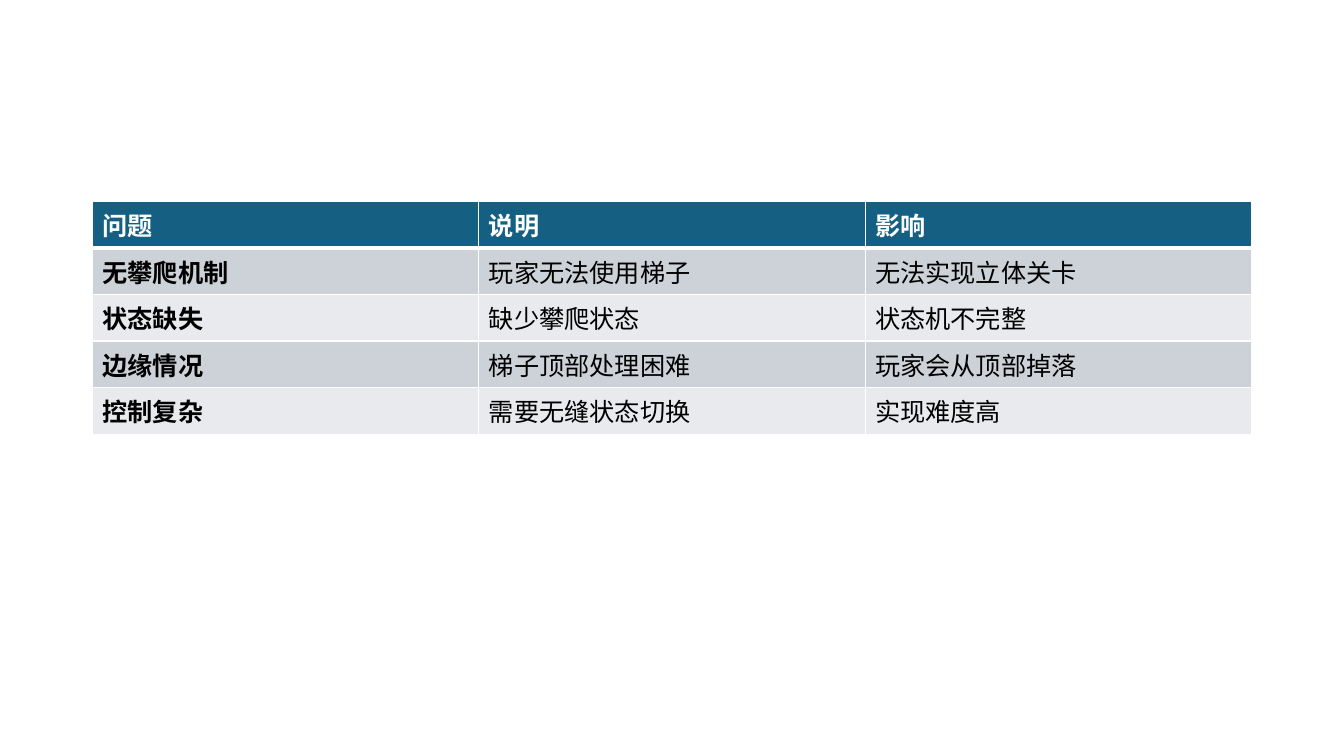
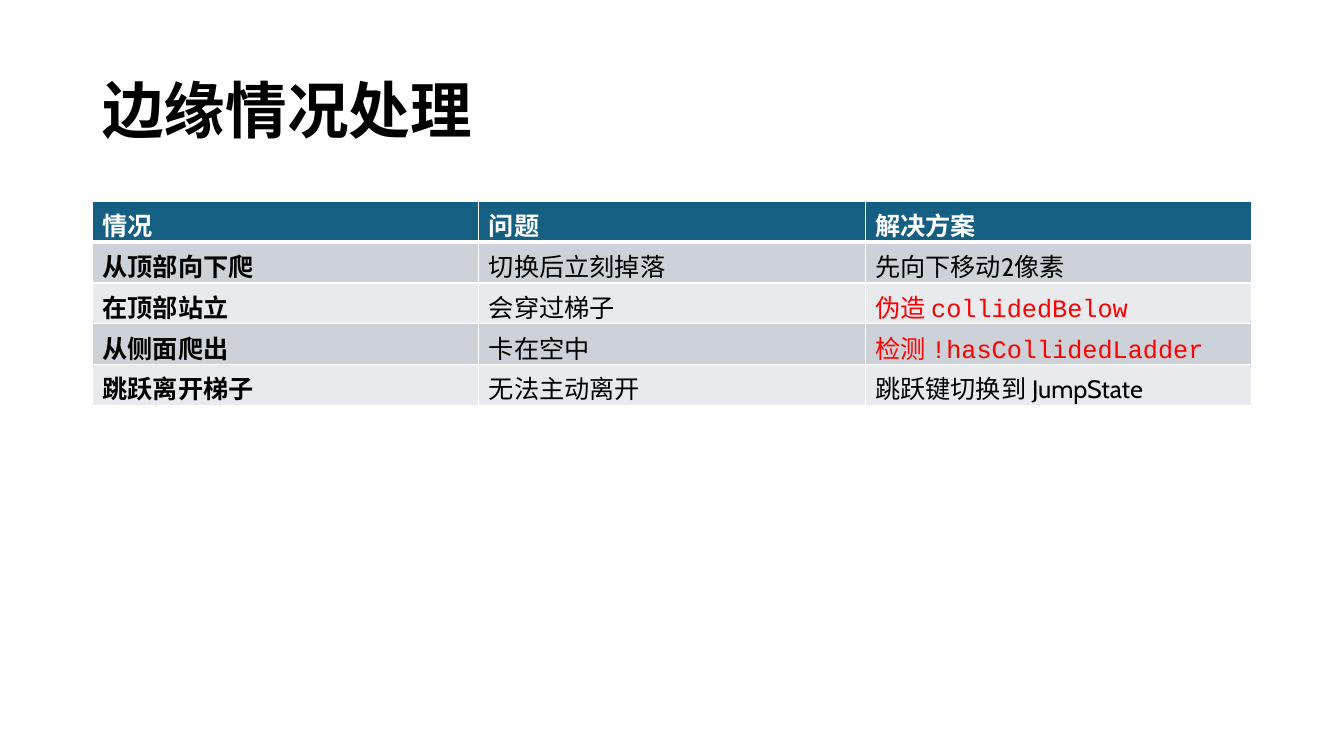
import pptx
import pptx.dml.color
import pptx.enum.lang
import pptx.enum.text
import pptx.oxml
import pptx.oxml.ns
import pptx.util

Cm, Pt = pptx.util.Cm, pptx.util.Pt
MIDDLE = pptx.enum.text.MSO_ANCHOR.MIDDLE

THEME = {
    "head": "156082", "bands": ("CCD2D8", "E8EAED"),
    "white": "FFFFFF", "ink": "000000", "alert": "FF0000",
    "font": "Cabin", "code": "Courier New",
    "title": 44, "body": 18, "line": 1, "rule": 3,
}
LEFT, WIDTH = Cm(2.33), Cm(29.21)
ROW = Cm(1.03)

# A cell is a text, or a pair of a red lead and a piece of code.
SLIDES = [
    (None, [
        ("问题", "说明", "影响"),
        ("无攀爬机制", "玩家无法使用梯子", "无法实现立体关卡"),
        ("状态缺失", "缺少攀爬状态", "状态机不完整"),
        ("边缘情况", "梯子顶部处理困难", "玩家会从顶部掉落"),
        ("控制复杂", "需要无缝状态切换", "实现难度高"),
    ]),
    ("边缘情况处理", [
        ("情况", "问题", "解决方案"),
        ("从顶部向下爬", "切换后立刻掉落", "先向下移动2像素"),
        ("在顶部站立", "会穿过梯子", ("伪造 ", "collidedBelow")),
        ("从侧面爬出", "卡在空中", ("检测 ", "!hasCollidedLadder")),
        ("跳跃离开梯子", "无法主动离开", "跳跃键切换到 JumpState"),
    ]),
]


def write(para, text, color, **style):
    """Add a run in the theme font; style overrides the font values."""
    run = para.add_run()
    run.text = text
    values = {
        "name": THEME["font"], "size": Pt(THEME["body"]), "bold": False,
        "language_id": pptx.enum.lang.MSO_LANGUAGE_ID.SIMPLIFIED_CHINESE,
    }
    for name, value in (values | style).items():
        setattr(run.font, name, value)
    run.font.color.rgb = pptx.dml.color.RGBColor.from_string(THEME[color])


def edge(cell, side, points):
    """Draw one white border; side is L, R, T or B."""
    cell._tc.get_or_add_tcPr().append(pptx.oxml.parse_xml(
        f'<a:ln{side} {pptx.oxml.ns.nsdecls("a")} w="{Pt(points)}">'
        f'<a:solidFill><a:srgbClr val="{THEME["white"]}"/></a:solidFill>'
        f'</a:ln{side}>'))


deck = pptx.Presentation()
deck.slide_width, deck.slide_height = Cm(33.87), Cm(19.05)

for title, rows in SLIDES:
    slide = deck.slides.add_slide(deck.slide_layouts[6])

    if title:
        frame = slide.shapes.add_textbox(LEFT, Cm(1.01), WIDTH, Cm(3.68)).text_frame
        frame.word_wrap = True
        frame.vertical_anchor = MIDDLE
        para = frame.paragraphs[0]
        para.line_spacing = 0.9
        write(para, title, "ink", size=Pt(THEME["title"]), bold=True)

    table = slide.shapes.add_table(
        len(rows), len(rows[0]), LEFT, Cm(5.07), WIDTH, ROW * len(rows)).table
    for r, row in enumerate(rows):
        table.rows[r].height = ROW
        head = r == 0
        fill = THEME["head"] if head else THEME["bands"][(r - 1) % 2]
        for c, item in enumerate(row):
            cell = table.cell(r, c)
            cell.vertical_anchor = MIDDLE
            for side in "LRTB":
                thick = (r, side) in ((0, "B"), (1, "T"))
                edge(cell, side, THEME["rule" if thick else "line"])
            cell.fill.solid()
            cell.fill.fore_color.rgb = pptx.dml.color.RGBColor.from_string(fill)
            para = cell.text_frame.paragraphs[0]
            if isinstance(item, tuple):
                lead, code = item
                write(para, lead, "alert")
                write(para, code, "alert", name=THEME["code"])
            else:
                write(para, item, "white" if head else "ink", bold=head or c == 0)

deck.save("out.pptx")
